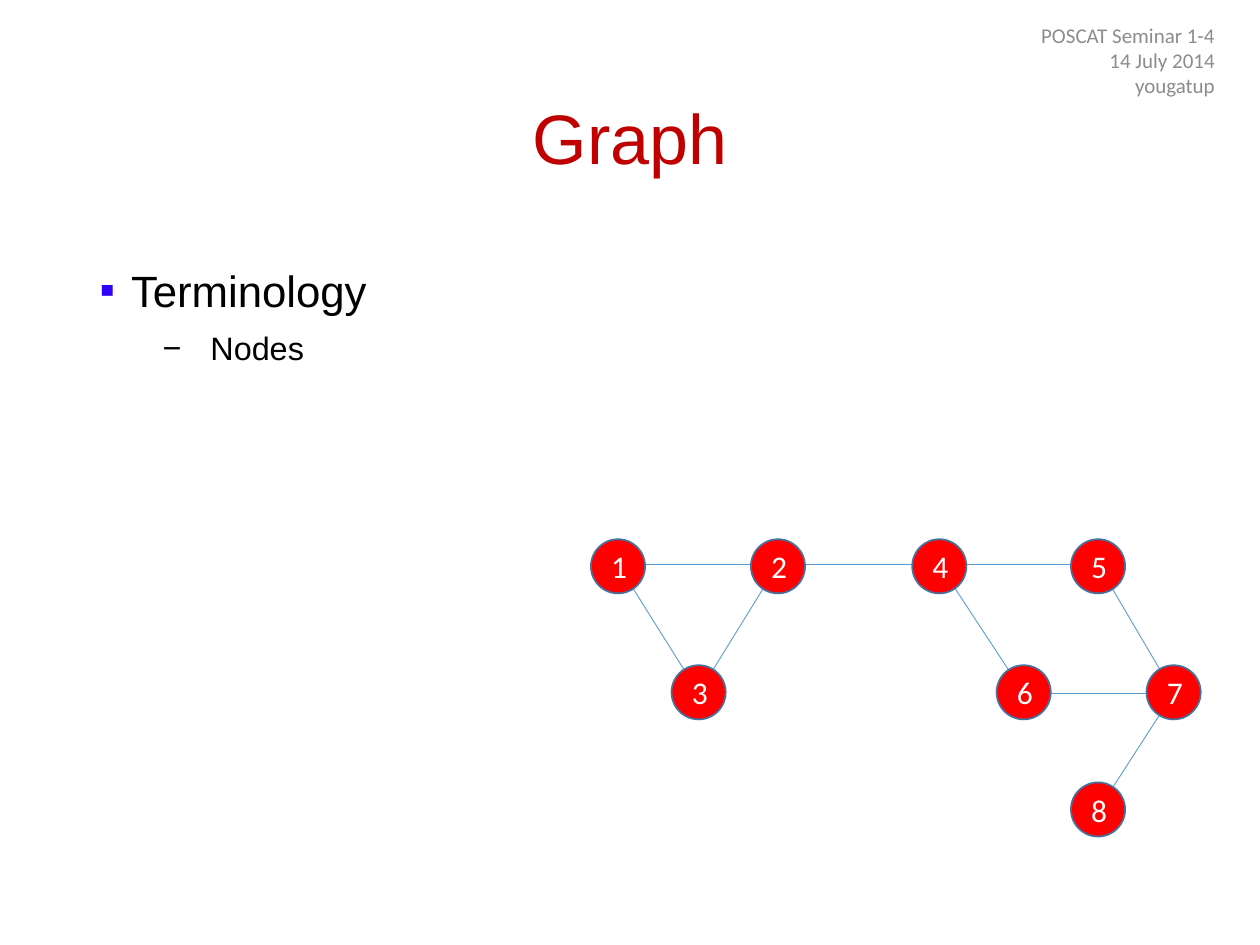
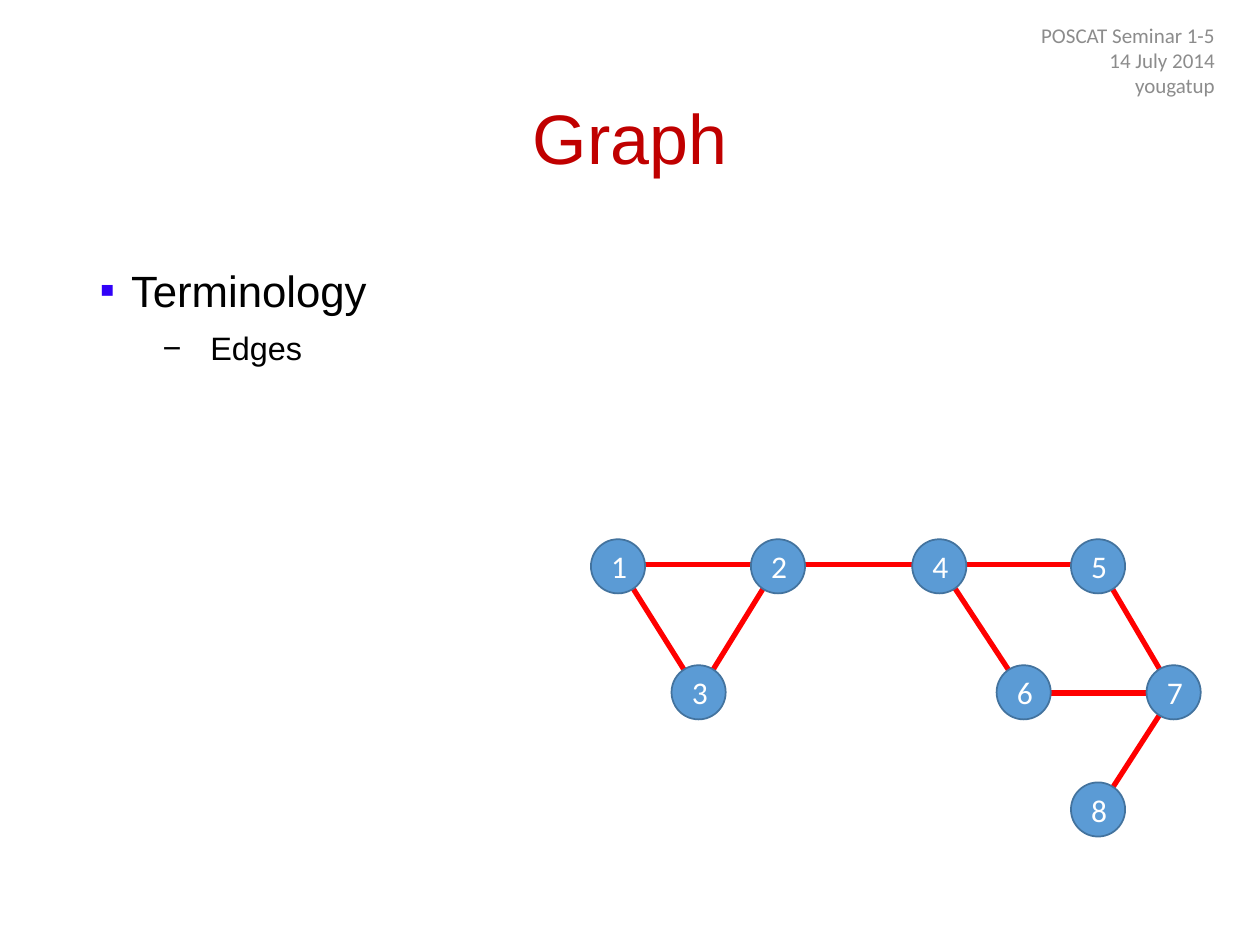
from lxml import etree
from pptx import Presentation
from pptx.dml.color import RGBColor
from pptx.enum.shapes import MSO_CONNECTOR, MSO_SHAPE
from pptx.enum.text import MSO_ANCHOR, MSO_AUTO_SIZE, PP_ALIGN
from pptx.oxml.ns import qn
from pptx.util import Inches, Pt

LEFT, CENTER, RIGHT = PP_ALIGN.LEFT, PP_ALIGN.CENTER, PP_ALIGN.RIGHT
TOP, MIDDLE = MSO_ANCHOR.TOP, MSO_ANCHOR.MIDDLE
STRAIGHT, OVAL = MSO_CONNECTOR.STRAIGHT, MSO_SHAPE.OVAL
NO_FIT = MSO_AUTO_SIZE.NONE
TITLE_LAYOUT = 1

# The graph: node number -> left edge and row
NODES = {1: (4.69, "upper"), 2: (5.96, "upper"), 3: (5.33, "middle"),
         4: (7.24, "upper"), 6: (7.91, "middle"), 5: (8.5, "upper"),
         7: (9.1, "middle"), 8: (8.5, "lower")}
EDGES = [(1, 2), (1, 3), (3, 2), (2, 4), (4, 5), (4, 6), (6, 7), (5, 7), (7, 8)]
NODE_SIZE = 0.43
# Row -> top of its nodes and height at which edges meet them
ROWS = {"upper": (4.28, 4.48), "middle": (5.28, 5.5), "lower": (6.21, 6.43)}


def color(hex_code):
    return RGBColor.from_string(hex_code)


def write(para, text, *, size, font="Calibri", ink="000000", align=LEFT,
          spacing=1.0, before=0):
    para.alignment = align
    para.line_spacing = spacing
    para.space_before = Pt(before)
    span = para.add_run()
    span.text = text
    span.font.size = Pt(size)
    span.font.name = font
    span.font.color.rgb = color(ink)


def set_bullet(para, mark, ink, margin, hanging):
    props = para._p.get_or_add_pPr()
    props.set("marL", str(Inches(margin)))
    props.set("indent", str(-Inches(hanging)))
    tint = etree.SubElement(props, qn("a:buClr"))
    etree.SubElement(tint, qn("a:srgbClr"), val=ink)
    etree.SubElement(props, qn("a:buFont"), typeface="Arial")
    etree.SubElement(props, qn("a:buChar"), char=mark)


class GraphDeck:
    RED, BLUE, NODE_OUTLINE = "FF0000", "5B9BD5", "43739E"
    HEADING, HEADER, MARK = "C00000", "8C8C8C", "3102F8"

    def __init__(self):
        self.deck = Presentation()
        self.deck.slide_width, self.deck.slide_height = Inches(10), Inches(7.5)
        self.page = None

    def add_page(self):
        self.page = self.deck.slides.add_slide(self.deck.slide_layouts[TITLE_LAYOUT])

    def place(self, box, left, top, width, height, anchor):
        box.left, box.top = Inches(left), Inches(top)
        box.width, box.height = Inches(width), Inches(height)
        frame = box.text_frame
        frame.word_wrap = True
        frame.auto_size = NO_FIT
        frame.vertical_anchor = anchor
        return frame

    def title(self, text):
        frame = self.place(self.page.shapes.title, 0.69, 0.4, 8.62, 1.45, MIDDLE)
        write(frame.paragraphs[0], text, size=40, font="Arial",
              ink=self.HEADING, align=CENTER, spacing=0.9)

    def topics(self, topic, detail):
        frame = self.place(self.page.placeholders[1], 0.69, 2, 8.62, 4.76, TOP)
        para = frame.paragraphs[0]
        write(para, topic, size=25, font="Arial", spacing=1.1, before=10)
        set_bullet(para, "▪", self.MARK, 0.25, 0.25)
        para = frame.add_paragraph()
        para.level = 1
        write(para, detail, size=18.5, font="Arial", spacing=1.1, before=5)
        set_bullet(para, "−", "000000", 0.88, 0.38)

    def header(self, lines):
        box = self.page.shapes.add_textbox(0, 0, 0, 0)
        frame = self.place(box, 7.49, 0.2, 2.25, 0.55, MIDDLE)
        for index, line in enumerate(lines):
            para = frame.add_paragraph() if index else frame.paragraphs[0]
            write(para, line, size=12, ink=self.HEADER, align=RIGHT)

    def edge(self, start, end, ink, weight):
        points = []
        for node in (start, end):
            left, row = NODES[node]
            points += [Inches(left + NODE_SIZE / 2), Inches(ROWS[row][1])]
        line = self.page.shapes.add_connector(STRAIGHT, *points)
        line.line.color.rgb = color(ink)
        line.line.width = Pt(weight)
        etree.SubElement(line._element.spPr, qn("a:effectLst"))

    def node(self, number, fill):
        left, row = NODES[number]
        circle = self.page.shapes.add_shape(OVAL, 0, 0, 0, 0)
        frame = self.place(circle, left, ROWS[row][0], NODE_SIZE, NODE_SIZE, MIDDLE)
        circle.shadow.inherit = False
        circle.fill.solid()
        circle.fill.fore_color.rgb = color(fill)
        circle.line.color.rgb = color(self.NODE_OUTLINE)
        circle.line.width = Pt(1)
        write(frame.paragraphs[0], str(number), size=18, ink="FFFFFF", align=CENTER)

    def graph(self, node_fill, edge_ink, edge_weight):
        for start, end in EDGES:
            self.edge(start, end, edge_ink, edge_weight)
        for number in NODES:
            self.node(number, node_fill)

    def term_page(self, number, term, **graph_style):
        self.add_page()
        self.title("Graph")
        self.topics("Terminology", term)
        self.header([f"POSCAT Seminar 1-{number}", "14 July 2014", "yougatup"])
        self.graph(**graph_style)


def main():
    show = GraphDeck()
    # Nodes highlighted
    show.term_page(4, "Nodes", node_fill=show.RED, edge_ink=show.BLUE, edge_weight=0.5)
    # Edges highlighted
    show.term_page(5, "Edges", node_fill=show.BLUE, edge_ink=show.RED, edge_weight=3)
    show.deck.save("out.pptx")


if __name__ == "__main__":
    main()
